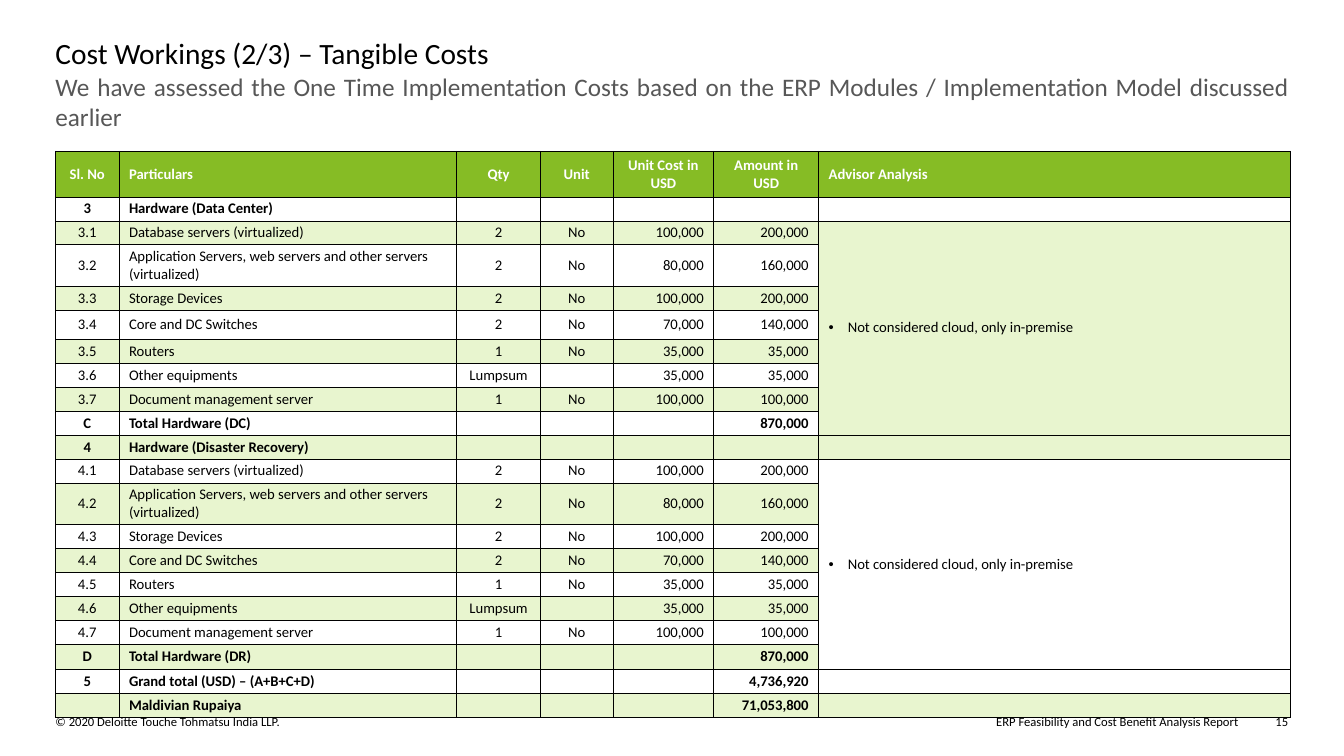
from dataclasses import dataclass

from lxml import etree
from pptx import Presentation
from pptx import util as u
from pptx.dml.color import RGBColor
from pptx.enum import text
from pptx.oxml.ns import qn


@dataclass(frozen=True)
class Theme:
    font: str = "Calibri"
    black: str = "000000"
    white: str = "FFFFFF"
    grey: str = "575757"
    green: str = "86BC25"
    pale_green: str = "E8F5CF"
    title_size: float = 21
    subtitle_size: float = 18
    table_size: float = 10.5
    footer_size: float = 9


THEME = Theme()
LEFT, CENTER = text.PP_ALIGN.LEFT, text.PP_ALIGN.CENTER
RIGHT, JUSTIFY = text.PP_ALIGN.RIGHT, text.PP_ALIGN.JUSTIFY

# Table content
HEADINGS = ["Sl. No", "Particulars", "Qty", "Unit", "Unit Cost in USD",
            "Amount in USD", "Advisor Analysis"]
COLUMN_WIDTHS = [0.63, 3.35, 0.83, 0.72, 1, 1.04, 4.68]
COLUMN_ALIGNS = [CENTER, LEFT, CENTER, CENTER, RIGHT, RIGHT, LEFT]
HARDWARE = [
    ("Database servers (virtualized)", "2", "No", 100000, 200000),
    ("Application Servers, web servers and other servers (virtualized)",
     "2", "No", 80000, 160000),
    ("Storage Devices", "2", "No", 100000, 200000),
    ("Core and DC Switches", "2", "No", 70000, 140000),
    ("Routers", "1", "No", 35000, 35000),
    ("Other equipments", "Lumpsum", "", 35000, 35000),
    ("Document management server", "1", "No", 100000, 100000),
]
SECTIONS = [("3", "Hardware (Data Center)", "C", "Total Hardware (DC)"),
            ("4", "Hardware (Disaster Recovery)", "D", "Total Hardware (DR)")]
SECTION_TOTAL = "870,000"
ANALYSIS = "Not considered cloud, only in-premise"
HEADER_HEIGHT, ROW_HEIGHT = 0.45, 0.23
SPECIAL_HEIGHTS = {"3.2": 0.41, "4.2": 0.41, "3.4": 0.29, "D": 0.25}


def add_run(paragraph, words, size, color, bold=False):
    run = paragraph.add_run()
    run.text = words
    run.font.name = THEME.font
    run.font.size = u.Pt(size)
    run.font.bold = bold
    run.font.color.rgb = RGBColor.from_string(color)


def fill_frame(shape, words, size, color, align=LEFT):
    frame = shape.text_frame
    frame.margin_left = frame.margin_right = 0
    frame.margin_top = frame.margin_bottom = 0
    frame.word_wrap = True
    frame.auto_size = text.MSO_AUTO_SIZE.NONE
    frame.vertical_anchor = text.MSO_ANCHOR.TOP
    paragraph = frame.paragraphs[0]
    paragraph.alignment = align
    add_run(paragraph, words, size, color)


def add_title(slide, words):
    title = slide.shapes.title
    title.left, title.top = u.Inches(0.55), u.Inches(0.35)
    title.width, title.height = u.Inches(12.24), u.Inches(0.37)
    fill_frame(title, words, THEME.title_size, THEME.black)


def add_text(slide, position, words, size, color, align=LEFT):
    box = slide.shapes.add_textbox(*[u.Inches(length) for length in position])
    fill_frame(box, words, size, color, align)


def add_bullet(paragraph):
    properties = paragraph._p.get_or_add_pPr()
    properties.set("marL", str(u.Inches(0.19)))
    properties.set("indent", str(-u.Inches(0.19)))
    etree.SubElement(properties, qn("a:buFont"), typeface="Arial")
    etree.SubElement(properties, qn("a:buChar"), char="•")


def add_borders(cell):
    properties = cell._tc.get_or_add_tcPr()
    for side in ("a:lnL", "a:lnR", "a:lnT", "a:lnB"):
        line = etree.SubElement(properties, qn(side), w=str(u.Pt(0.5)))
        solid = etree.SubElement(line, qn("a:solidFill"))
        etree.SubElement(solid, qn("a:srgbClr"), val=THEME.black)


def format_cell(cell, words, align, fill, color, bold, margin):
    add_borders(cell)
    cell.fill.solid()
    cell.fill.fore_color.rgb = RGBColor.from_string(fill)
    cell.vertical_anchor = text.MSO_ANCHOR.MIDDLE
    cell.margin_left = cell.margin_right = u.Inches(0.1)
    cell.margin_top = cell.margin_bottom = u.Inches(margin)
    paragraph = cell.text_frame.paragraphs[0]
    paragraph.alignment = align
    if words == ANALYSIS:
        add_bullet(paragraph)
    if words:
        add_run(paragraph, words, THEME.table_size, color, bold)
    else:
        etree.SubElement(paragraph._p, qn("a:endParaRPr"),
                         sz=str(int(THEME.table_size * 100)))


def cost_rows():
    """Return pairs of cell texts and whether the row is bold."""
    rows = []
    for number, heading, letter, total in SECTIONS:
        rows.append(([number, heading, "", "", "", "", ""], True))
        for index, (name, quantity, unit, cost, amount) in enumerate(HARDWARE, 1):
            note = ANALYSIS if index == 1 else ""
            rows.append(([f"{number}.{index}", name, quantity, unit,
                          f"{cost:,}", f"{amount:,}", note], False))
        rows.append(([letter, total, "", "", "", SECTION_TOTAL, ""], True))
    rows.append((["5", "Grand total (USD) – (A+B+C+D)", "", "", "",
                  "4,736,920", ""], True))
    rows.append((["", "Maldivian Rupaiya", "", "", "", "71,053,800", ""], True))
    return rows


def add_cost_table(slide):
    rows = cost_rows()
    heights = [HEADER_HEIGHT]
    heights += [SPECIAL_HEIGHTS.get(words[0], ROW_HEIGHT) for words, _ in rows]
    frame = slide.shapes.add_table(
        len(heights), len(HEADINGS), u.Inches(0.55), u.Inches(1.5),
        u.Inches(sum(COLUMN_WIDTHS)), u.Inches(sum(heights)))
    table = frame.table
    table.horz_banding = False
    for column, width in zip(table.columns, COLUMN_WIDTHS):
        column.width = u.Inches(width)
    for row, height in zip(table.rows, heights):
        row.height = u.Inches(height)

    # Header row
    for column, heading in enumerate(HEADINGS):
        align = LEFT if COLUMN_ALIGNS[column] == LEFT else CENTER
        format_cell(table.cell(0, column), heading, align, THEME.green,
                    THEME.white, True, 0.05)

    # Cost rows in alternating colours
    for number, (words, bold) in enumerate(rows, 1):
        fill = THEME.white if number % 2 else THEME.pale_green
        for column, (entry, align) in enumerate(zip(words, COLUMN_ALIGNS)):
            format_cell(table.cell(number, column), entry, align, fill,
                        THEME.black, bold, 0.03)

    # One analysis cell beside each section
    last_column = len(HEADINGS) - 1
    for number, (words, _) in enumerate(rows, 1):
        if words[last_column] == ANALYSIS:
            table.cell(number, last_column).merge(
                table.cell(number + len(HARDWARE), last_column))


def add_footer(slide):
    size, color = THEME.footer_size, THEME.black
    add_text(slide, (6.93, 7.08, 5.35, 0.15),
             "ERP Feasibility and Cost Benefit Analysis Report", size, color, RIGHT)
    add_text(slide, (0.55, 7.08, 5.86, 0.15),
             "© 2020 Deloitte Touche Tohmatsu India LLP.", size, color)
    add_text(slide, (12.65, 7.08, 0.15, 0.15), "15", size, color)


def main():
    presentation = Presentation()
    presentation.slide_width = u.Inches(13.33)
    presentation.slide_height = u.Inches(7.5)
    slide = presentation.slides.add_slide(presentation.slide_layouts[5])
    add_footer(slide)
    add_text(slide, (0.55, 0.71, 12.24, 0.83),
             "We have assessed the One Time Implementation Costs based on the "
             "ERP Modules / Implementation Model discussed earlier",
             THEME.subtitle_size, THEME.grey, JUSTIFY)
    add_title(slide, "Cost Workings (2/3) – Tangible Costs")
    add_cost_table(slide)
    presentation.save("out.pptx")


if __name__ == "__main__":
    main()
